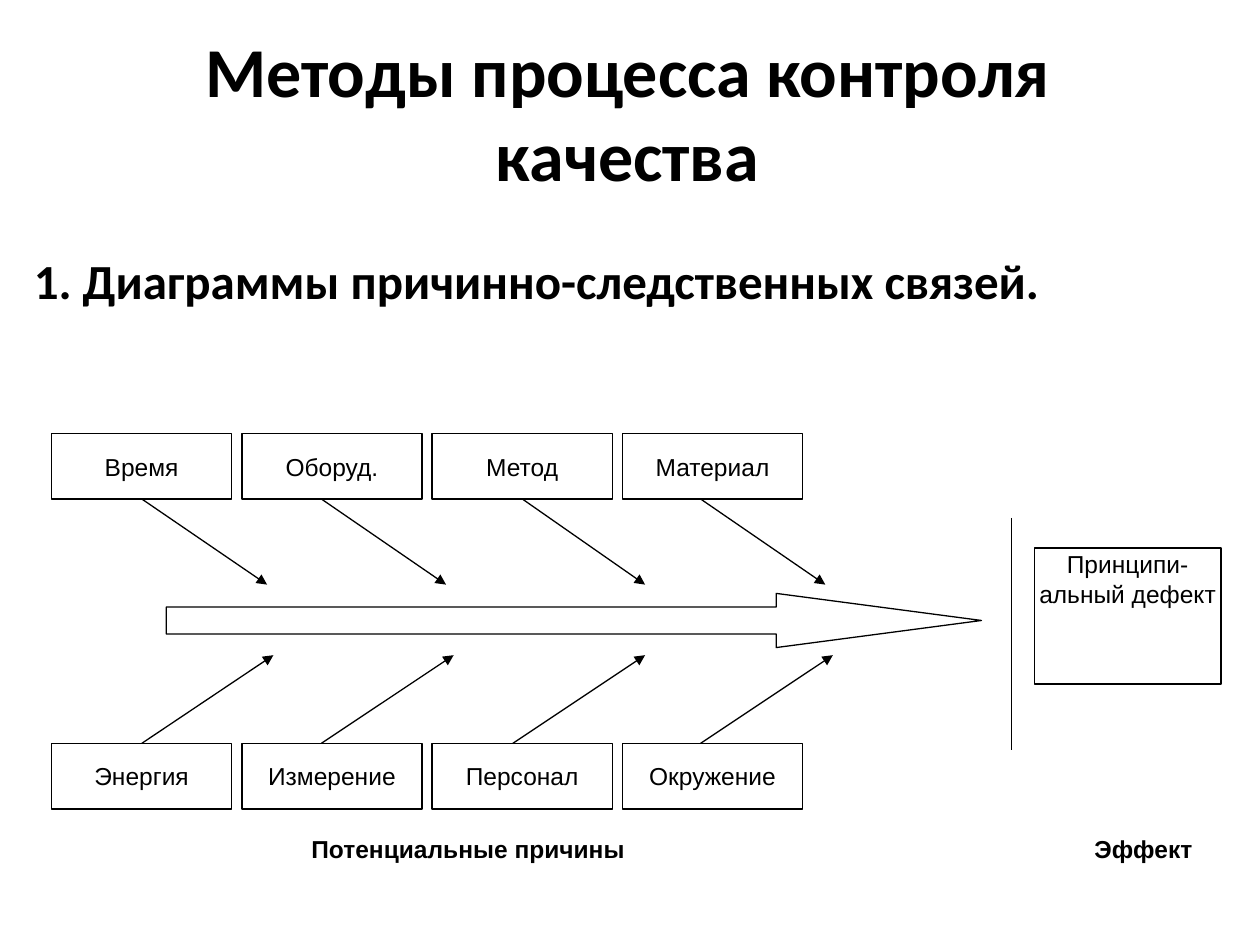
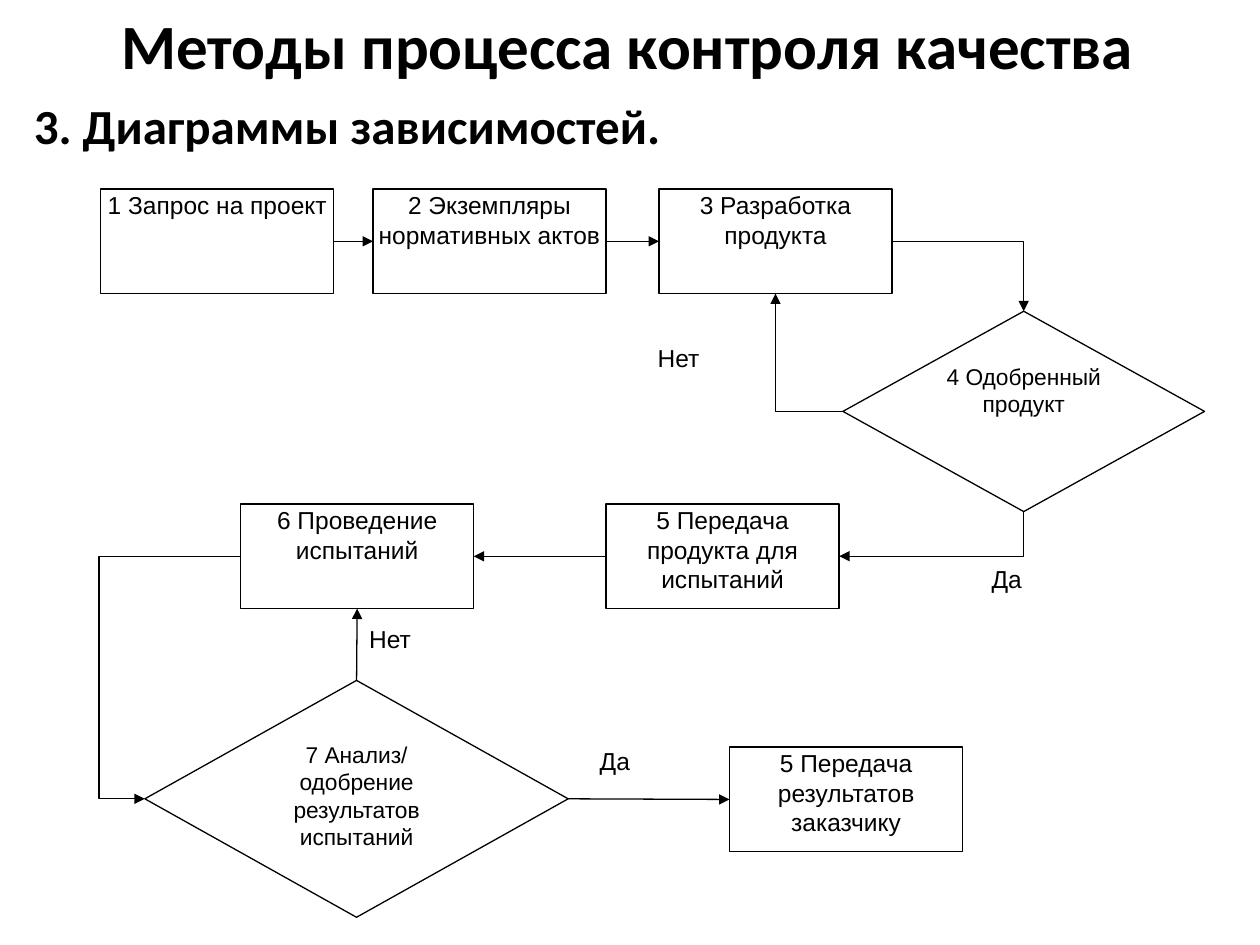
from lxml.etree import SubElement
from pptx import Presentation
from pptx.dml.color import RGBColor
from pptx.enum.shapes import MSO_CONNECTOR, MSO_SHAPE
from pptx.enum.text import MSO_ANCHOR, PP_ALIGN
from pptx.oxml.ns import qn
from pptx.util import Inches, Pt

INK = RGBColor(0x00, 0x00, 0x00)
PAPER = RGBColor(0xFF, 0xFF, 0xFF)
HEADING_FONT, DIAGRAM_FONT = "Calibri", "Arial"
SLIDE_WIDTH, SLIDE_HEIGHT = Inches(10), Inches(7.5)
COLUMNS, ROWS = 100, 75
LINE_WIDTH = Pt(0.75)
TOP, LEFT, BOTTOM, RIGHT = range(4)
TITLE = "Методы процесса контроля качества"

CAUSE_WIDTH, CAUSE_HEIGHT, CAUSE_PITCH, FIRST_CAUSE = 14.3, 5.2, 15.1, 4.1
STEP_WIDTH, STEP_HEIGHT = 18.5, 8.3
CAUSE_ROWS = [
    (34.4, BOTTOM, 46.4, [
        ("Время", 11.2, 21.2), ("Оборуд.", 25.5, 35.4),
        ("Метод", 41.3, 51.2), ("Материал", 55.6, 65.5)]),
    (59, TOP, 52, [
        ("Энергия", 11.2, 21.7), ("Измерение", 25.5, 36),
        ("Персонал", 40.7, 51.2), ("Окружение", 55.6, 66.1)]),
]


def x(columns):
    """Turn grid columns into a length."""
    return int(SLIDE_WIDTH * columns / COLUMNS)


def y(rows):
    """Turn grid rows into a length."""
    return int(SLIDE_HEIGHT * rows / ROWS)


def cells(left, top, width, height):
    """Turn a grid area into a position and a size."""
    return x(left), y(top), x(width), y(height)


def write(holder, text, size=14, font=DIAGRAM_FONT, bold=False,
          align=PP_ALIGN.CENTER, anchor=MSO_ANCHOR.TOP, margins=(0.02, 0.01)):
    """Put formatted text into a shape or text box."""
    frame = holder.text_frame
    frame.word_wrap = True
    frame.vertical_anchor = anchor
    frame.margin_left = frame.margin_right = Inches(margins[0])
    frame.margin_top = frame.margin_bottom = Inches(margins[1])
    paragraph = frame.paragraphs[0]
    paragraph.alignment = align
    run = paragraph.add_run()
    run.text = text
    run.font.name, run.font.size, run.font.bold = font, Pt(size), bold
    run.font.color.rgb = INK


def heading(slide, text, area, size, align=PP_ALIGN.CENTER):
    """Add a bold heading without a frame."""
    write(slide.shapes.add_textbox(*cells(*area)), text, size=size, font=HEADING_FONT,
          bold=True, align=align, margins=(0.1, 0.05))


def headed_slide(deck, title_area, title_size, topic, topic_row):
    """Add a slide with the shared title and its own topic."""
    slide = deck.slides.add_slide(deck.slide_layouts[6])
    heading(slide, TITLE, title_area, title_size)
    heading(slide, topic, (1.7, topic_row, 96.4, 5.7), 28, PP_ALIGN.JUSTIFY)
    return slide


def block(slide, area, kind=MSO_SHAPE.RECTANGLE, outlined=True):
    """Add a white preset shape."""
    shape = slide.shapes.add_shape(kind, *cells(*area))
    shape.shadow.inherit = False
    shape.fill.solid()
    shape.fill.fore_color.rgb = PAPER
    if outlined:
        shape.line.color.rgb = INK
        shape.line.width = LINE_WIDTH
    else:
        shape.line.fill.background()
    return shape


def step(slide, text, left, top):
    """Add a process step."""
    box = block(slide, (left, top, STEP_WIDTH, STEP_HEIGHT))
    write(box, text)
    return box


def decision(slide, text, area):
    """Add a decision diamond."""
    diamond = block(slide, area, MSO_SHAPE.FLOWCHART_DECISION)
    write(diamond, text, size=13, margins=(0, 0.01))
    return diamond


def label(slide, text, area, **text_format):
    """Add a caption without an outline."""
    write(block(slide, area, outlined=False), text, **text_format)


def connector(slide, start=(0, 0), end=(0, 0), kind=MSO_CONNECTOR.STRAIGHT,
              arrow="tailEnd"):
    """Add a thin black connector, with an arrowhead unless arrow is None."""
    link = slide.shapes.add_connector(kind, x(start[0]), y(start[1]), x(end[0]), y(end[1]))
    link.line.color.rgb = INK
    link.line.width = LINE_WIDTH
    properties = link.element.spPr
    if arrow:
        SubElement(properties.find(qn("a:ln")), qn(f"a:{arrow}"), type="triangle")
    SubElement(properties, qn("a:effectLst"))
    return link


def join(slide, source, source_side, target, target_side, **link_format):
    """Connect the sides of two shapes."""
    link = connector(slide, **link_format)
    link.begin_connect(source, source_side)
    link.end_connect(target, target_side)
    return link


def elbow(slide, *ends, arrow="tailEnd", detour=None):
    """Connect two shapes with one corner, or with two when a detour is given."""
    link = join(slide, *ends, kind=MSO_CONNECTOR.ELBOW, arrow=arrow)
    geometry = link.element.spPr.find(qn("a:prstGeom"))
    if detour is None:
        geometry.set("prst", "bentConnector2")
    else:
        guides = geometry.find(qn("a:avLst"))
        if guides is None:
            guides = SubElement(geometry, qn("a:avLst"))
        SubElement(guides, qn("a:gd"), name="adj1", fmla=f"val {round(detour * 100000)}")


def cause_row(slide, top, side, tip_row, causes):
    """Add a row of causes with arrows towards the spine."""
    edge = top + CAUSE_HEIGHT if side == BOTTOM else top
    for index, (cause, start, tip) in enumerate(causes):
        left = FIRST_CAUSE + index * CAUSE_PITCH
        box = block(slide, (left, top, CAUSE_WIDTH, CAUSE_HEIGHT))
        write(box, cause, anchor=MSO_ANCHOR.MIDDLE)
        rib = connector(slide, (start, edge), (tip, tip_row))
        if abs(left + CAUSE_WIDTH / 2 - start) < 0.3:
            rib.begin_connect(box, side)


def cause_effect_slide(deck):
    """Build the cause and effect diagram."""
    slide = headed_slide(deck, (5.4, 1.7, 88.8, 14.5), 40,
                         "1. Диаграммы причинно-следственных связей.", 19.4)
    spine = block(slide, (13.2, 47.1, 64.7, 4.3), MSO_SHAPE.RIGHT_ARROW)
    spine.adjustments[0], spine.adjustments[1] = 0.5, 3.79
    connector(slide, (80.3, 41.1), (80.3, 59.5), arrow=None)
    write(block(slide, (82.1, 43.5, 14.8, 10.8)), "Принципи-альный дефект")
    for row in CAUSE_ROWS:
        cause_row(slide, *row)
    for text, left, width in [("Потенциальные причины", 14.7, 44.9), ("Эффект", 83.6, 14.3)]:
        label(slide, text, (left, 65.7, width, 5.7), bold=True, margins=(0.1, 0.05))


def flow_slide(deck):
    """Build the flow chart of the approval process."""
    slide = headed_slide(deck, (5.4, 0, 88.8, 7.1), 36, "3. Диаграммы зависимостей.", 7.1)
    request = step(slide, "1 Запрос на проект", 8, 15)
    norms = step(slide, "2 Экземпляры нормативных актов", 29.6, 15)
    development = step(slide, "3 Разработка продукта", 52.3, 15)
    approval = decision(slide, "4 Одобренный продукт", (66.9, 24.7, 28.7, 15.9))
    handover = step(slide, "5 Передача продукта для испытаний", 48.1, 40)
    testing = step(slide, "6 Проведение испытаний", 19.1, 40)
    analysis = decision(slide, "7 Анализ/ одобрение результатов испытаний",
                        (11.5, 54, 33.6, 18.8))
    delivery = step(slide, "5 Передача результатов заказчику", 57.9, 59.3)

    join(slide, request, RIGHT, norms, LEFT)
    join(slide, norms, RIGHT, development, LEFT)
    elbow(slide, development, RIGHT, approval, TOP)
    elbow(slide, approval, LEFT, development, BOTTOM)
    elbow(slide, handover, RIGHT, approval, BOTTOM, arrow="headEnd")
    join(slide, handover, LEFT, testing, RIGHT)
    elbow(slide, testing, LEFT, analysis, LEFT, detour=1.48)
    join(slide, analysis, TOP, testing, BOTTOM)
    join(slide, analysis, RIGHT, delivery, LEFT)

    for answer, left, top in [("Нет", 52, 26.7), ("Да", 78.5, 44.3),
                              ("Нет", 29.1, 49), ("Да", 47.4, 58.7)]:
        label(slide, answer, (left, top, 7.6, 3.9), align=PP_ALIGN.LEFT, margins=(0.02, 0.05))


def main():
    """Build and save the deck."""
    deck = Presentation()
    deck.slide_width, deck.slide_height = SLIDE_WIDTH, SLIDE_HEIGHT
    cause_effect_slide(deck)
    flow_slide(deck)
    deck.save("out.pptx")


if __name__ == "__main__":
    main()
